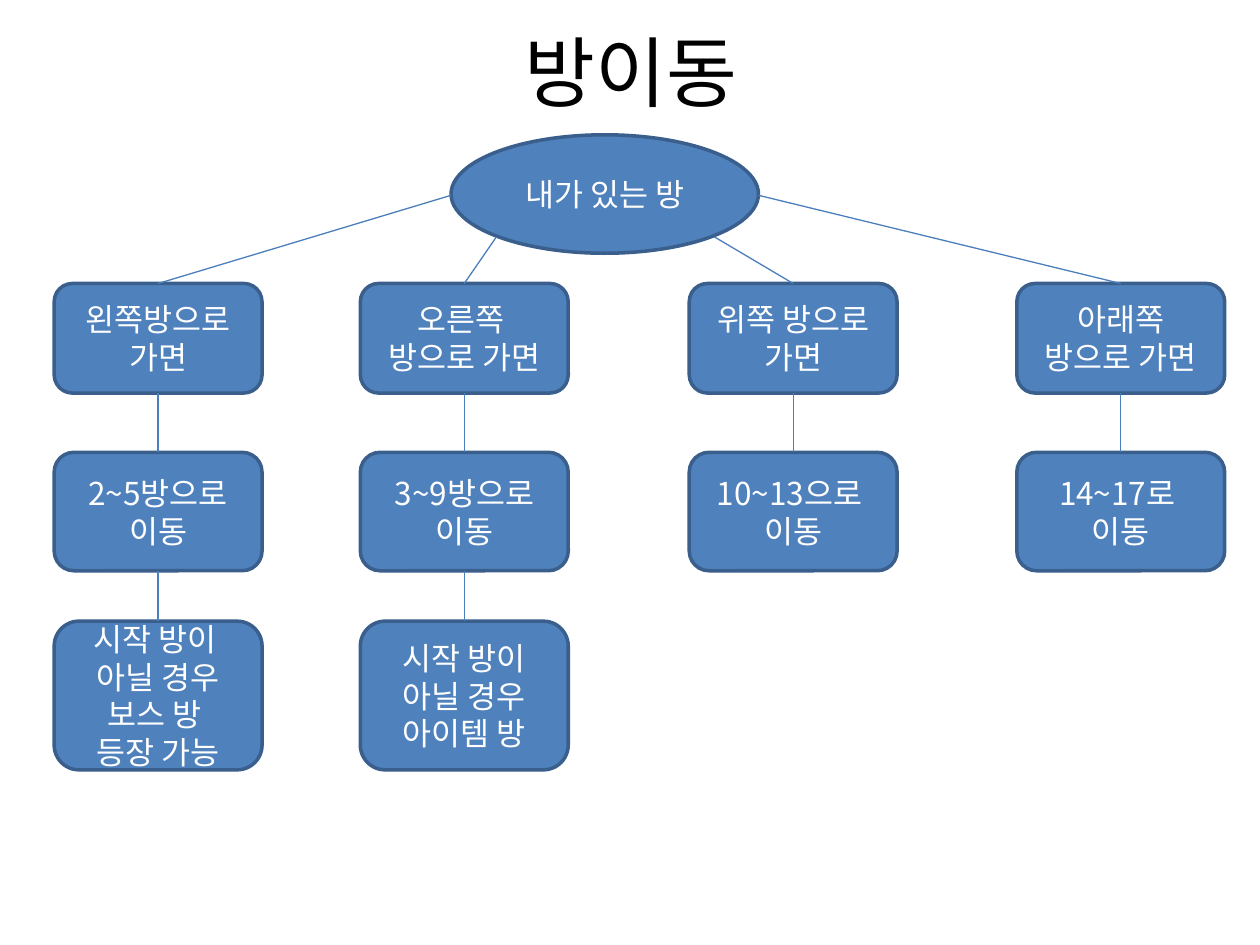
from lxml import etree
from pptx import Presentation
from pptx.dml.color import RGBColor
from pptx.enum import shapes, text
from pptx.oxml import ns
from pptx.util import Inches, Pt

FONT = "Noto Sans CJK KR"
BOX_WIDTH = 1.65
COLUMN_LEFTS = [0.43, 2.86, 5.47, 8.07]
ROWS = [
    (2.25, 0.87, [["왼쪽방으로 가면"], ["오른쪽 ", "방으로 가면"],
                  ["위쪽 방으로 가면"], ["아래쪽 방으로 가면"]]),
    (3.59, 0.94, [["2~5방으로 이동"], ["3~9방으로 이동"],
                  ["10~13으로 ", "이동"], ["14~17로 ", "이동"]]),
    (4.93, 1.18, [["시작 방이 ", "아닐 경우 보스 방 ", "등장 가능"],
                  ["시작 방이 아닐 경우", "아이템 방"]]),
]
BRANCH_STARTS = [(3.58, 1.55), (3.94, 1.88), (5.67, 1.88), (6.02, 1.55)]


def color(value):
    return RGBColor.from_string(value)


def write_text(shape, lines, size, font_color):
    frame = shape.text_frame
    frame.word_wrap = True
    frame.auto_size = text.MSO_AUTO_SIZE.NONE
    frame.vertical_anchor = text.MSO_ANCHOR.MIDDLE
    for index, line in enumerate(lines):
        paragraph = frame.add_paragraph() if index else frame.paragraphs[0]
        paragraph.alignment = text.PP_ALIGN.CENTER
        run = paragraph.add_run()
        run.text = line
        run.font.size = Pt(size)
        run.font.name = FONT
        run.font.color.rgb = color(font_color)
        east_asian = etree.SubElement(run.font._element, ns.qn("a:ea"))
        east_asian.set("typeface", FONT)


def add_title(slide, title):
    shape = slide.shapes.title
    shape.left, shape.top = Inches(0.51), Inches(0.05)
    shape.width, shape.height = Inches(9), Inches(1.02)
    write_text(shape, [title], 44, "000000")


def add_node(slide, kind, left, top, width, height, lines):
    shape = slide.shapes.add_shape(
        kind, Inches(left), Inches(top), Inches(width), Inches(height))
    shape.shadow.inherit = False
    shape.fill.solid()
    shape.fill.fore_color.rgb = color("4F81BD")
    shape.line.color.rgb = color("3A5F8C")
    shape.line.width = Pt(2)
    write_text(shape, lines, 18, "FFFFFF")


def add_link(slide, start, end):
    connector = slide.shapes.add_connector(
        shapes.MSO_CONNECTOR.STRAIGHT, *map(Inches, start + end))
    connector.line.color.rgb = color("4B7EBC")
    connector.line.width = Pt(0.75)
    etree.SubElement(connector._element.spPr, ns.qn("a:effectLst"))


def main():
    presentation = Presentation()
    presentation.slide_width = Inches(10)
    presentation.slide_height = Inches(7.5)
    slide = presentation.slides.add_slide(presentation.slide_layouts[5])

    add_title(slide, "방이동")
    add_node(slide, shapes.MSO_SHAPE.OVAL, 3.58, 1.07, 2.44, 0.94, ["내가 있는 방"])

    link_starts = BRANCH_STARTS
    for top, height, labels in ROWS:
        next_starts = []
        for left, start, lines in zip(COLUMN_LEFTS, link_starts, labels):
            center = left + BOX_WIDTH / 2
            add_node(slide, shapes.MSO_SHAPE.ROUNDED_RECTANGLE,
                     left, top, BOX_WIDTH, height, lines)
            add_link(slide, start, (center, top))
            next_starts.append((center, top + height))
        link_starts = next_starts

    presentation.save("out.pptx")


if __name__ == "__main__":
    main()
